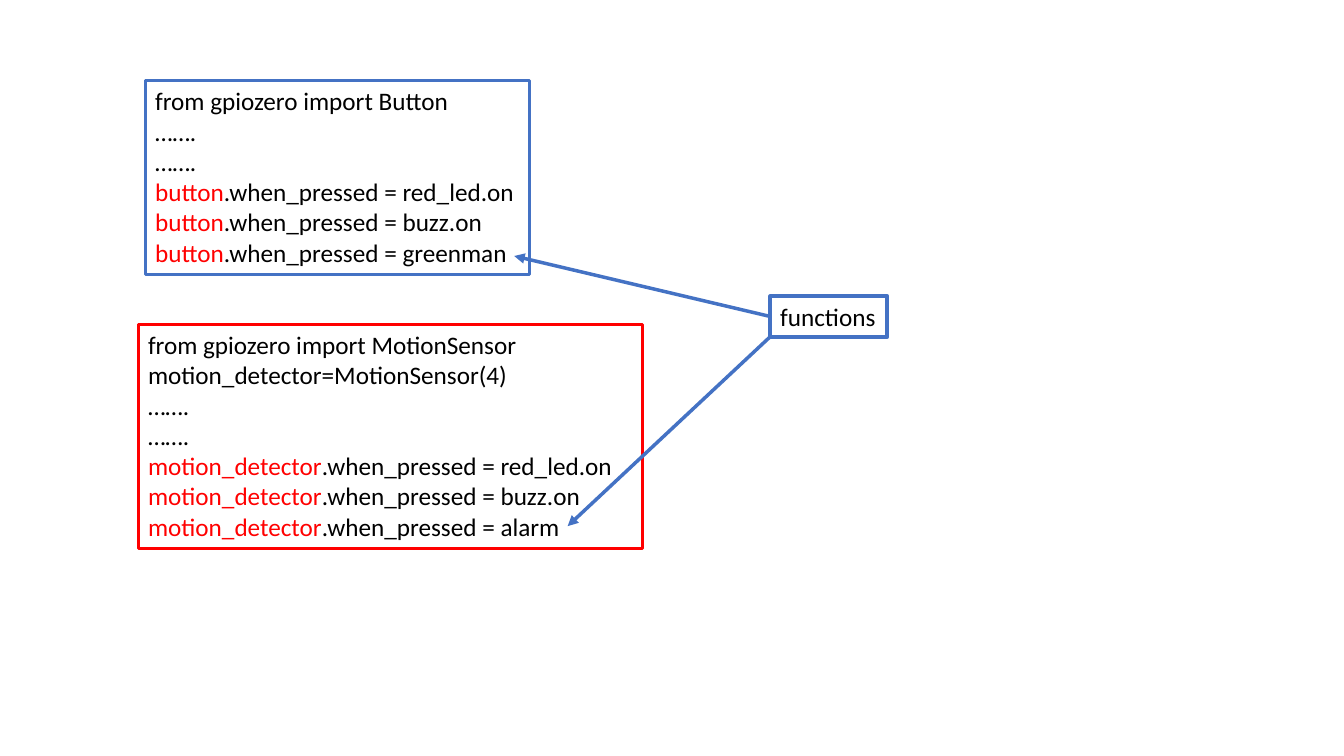
"""Build a slide on assigning functions to gpiozero event handlers."""
from lxml.etree import SubElement
from pptx import Presentation
from pptx.dml.color import RGBColor
from pptx.enum.shapes import MSO_CONNECTOR
from pptx.enum.text import MSO_AUTO_SIZE
from pptx.oxml.ns import qn
from pptx.util import Inches, Pt

BLUE = RGBColor(0x44, 0x72, 0xC4)
RED = RGBColor(0xFF, 0x00, 0x00)
BLACK = RGBColor(0x00, 0x00, 0x00)


def add_framed_text(slide, box, border, weight, lines):
    """Place a bordered text box whose lines are lists of (text, colour) runs."""
    frame = slide.shapes.add_textbox(*map(Inches, box))
    frame.line.color.rgb = border
    frame.line.width = Pt(weight)
    body = frame.text_frame
    body.word_wrap = False
    body.auto_size = MSO_AUTO_SIZE.SHAPE_TO_FIT_TEXT
    for index, pieces in enumerate(lines):
        line = body.add_paragraph() if index else body.paragraphs[0]
        for words, colour in pieces:
            run = line.add_run()
            run.text = words
            for name, value in {"name": "Calibri", "size": Pt(18)}.items():
                setattr(run.font, name, value)
            run.font.color.rgb = colour
    return frame


def add_code(slide, box, border, weight, setup, device, actions):
    """Place a code listing: setup, elided lines, then event assignments."""
    lines = [[(text, BLACK)] for text in (*setup, "…….", "…….")]
    lines += [[(device, RED), (f".when_pressed = {action}", BLACK)] for action in actions]
    add_framed_text(slide, box, border, weight, lines)


def add_arrow(slide, start, end):
    """Draw a blue arrow between two points and return it."""
    arrow = slide.shapes.add_connector(
        MSO_CONNECTOR.STRAIGHT, *map(Inches, (*start, *end)))
    arrow.line.color.rgb = BLUE
    arrow.line.width = Pt(2.5)
    SubElement(arrow.line._get_or_add_ln(), qn("a:tailEnd"), type="triangle")
    SubElement(arrow._element.spPr, qn("a:effectLst"))
    return arrow


def add_functions_callout(slide, box, greenman, alarm):
    """Place the functions label with arrows to the two function names."""
    left, top, _, height = box
    label = add_framed_text(slide, box, BLUE, 3, [[("functions", BLACK)]])
    to_greenman = add_arrow(slide, (left, top + height / 2), greenman)
    to_greenman.begin_connect(label, 1)
    add_arrow(slide, (left, top + height), alarm)


def main():
    """Assemble and save the slide."""
    deck = Presentation()
    deck.slide_width, deck.slide_height = Inches(13.33), Inches(7.5)
    slide = deck.slides.add_slide(deck.slide_layouts[6])
    add_code(slide, (1.44, 0.8, 3.81, 1.92), BLUE, 2,
             ["from gpiozero import Button"],
             "button", ["red_led.on", "buzz.on", "greenman"])
    add_code(slide, (1.37, 3.22, 5, 2.22), RED, 2.25,
             ["from gpiozero import MotionSensor", "motion_detector=MotionSensor(4)"],
             "motion_detector", ["red_led.on", "buzz.on", "alarm"])
    add_functions_callout(slide, (7.64, 2.94, 1.16, 0.4), (5.1, 2.54), (5.63, 5.22))
    deck.save("out.pptx")


if __name__ == "__main__":
    main()
